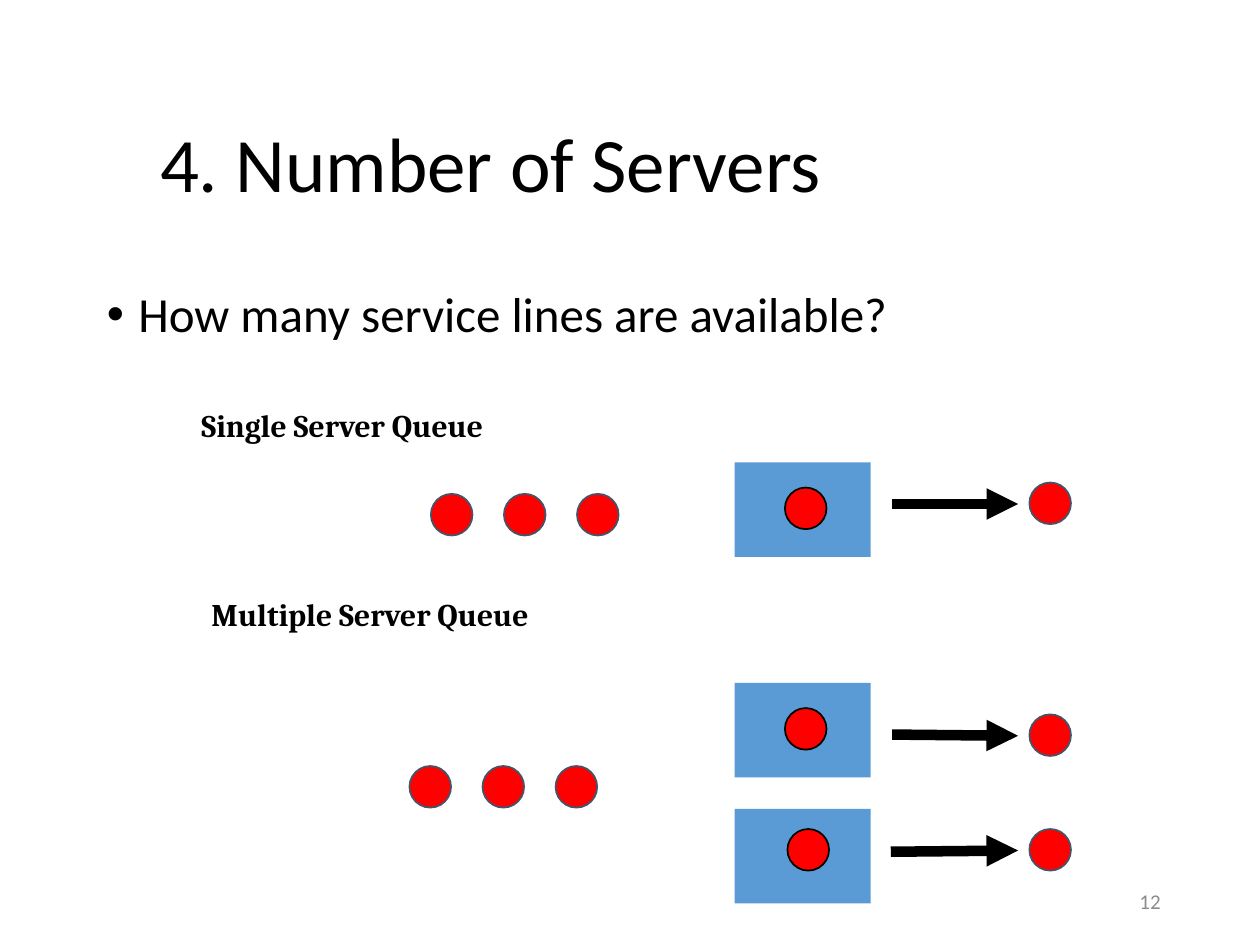
from dataclasses import dataclass

from lxml.etree import SubElement
from pptx import Presentation
from pptx.dml.color import RGBColor as Color
from pptx.enum.shapes import MSO_CONNECTOR as Connector, MSO_SHAPE as Shape
from pptx.enum.text import MSO_ANCHOR as Anchor, PP_ALIGN as Align
from pptx.oxml.ns import qn
from pptx.util import Inches, Pt


@dataclass(frozen=True)
class Theme:
    black: Color = Color(0, 0, 0)
    gray: Color = Color(0x8C, 0x8C, 0x8C)
    server: Color = Color(0x5B, 0x9B, 0xD5)
    customer: Color = Color(0xFF, 0, 0)
    outline: Color = Color(0x44, 0x54, 0x6A)
    body_font: str = "Calibri"
    label_font: str = "Cambria"
    title_size: int = 44
    body_size: int = 28
    label_size: int = 18
    number_size: int = 12


class SlideBuilder:
    def __init__(self, slide, theme):
        self.slide = slide
        self.theme = theme

    def add_text(self, shape, text, size, color=None, font=None, bold=False,
                 align=Align.LEFT, anchor=Anchor.TOP, spacing=None):
        frame = shape.text_frame
        frame.word_wrap = True
        frame.vertical_anchor = anchor
        paragraph = frame.paragraphs[0]
        paragraph.alignment = align
        paragraph.line_spacing = spacing
        run = paragraph.add_run()
        run.text = text
        run.font.size = Pt(size)
        run.font.name = font or self.theme.body_font
        run.font.bold = bold
        run.font.color.rgb = color or self.theme.black
        return paragraph

    def text_box(self, left, top, width, height, text, size, **style):
        box = self.slide.shapes.add_textbox(
            Inches(left), Inches(top), Inches(width), Inches(height))
        return self.add_text(box, text, size, **style)

    def title(self, left, top, width, height, text):
        title = self.slide.shapes.title
        title.left, title.top = Inches(left), Inches(top)
        title.width, title.height = Inches(width), Inches(height)
        self.add_text(title, text, self.theme.title_size,
                      anchor=Anchor.MIDDLE, spacing=0.9)

    def bullet(self, left, top, width, height, text):
        paragraph = self.text_box(left, top, width, height, text,
                                  self.theme.body_size, spacing=0.9)
        properties = paragraph._p.get_or_add_pPr()
        properties.set("marL", str(Inches(0.25)))
        properties.set("indent", str(Inches(-0.25)))
        SubElement(properties, qn("a:buFont")).set("typeface", "Arial")
        SubElement(properties, qn("a:buChar")).set("char", "•")

    def label(self, left, top, width, text):
        self.text_box(left, top, width, 0.5, text, self.theme.label_size,
                      font=self.theme.label_font, bold=True)

    def shape(self, kind, left, top, width, height, fill, line=None):
        shape = self.slide.shapes.add_shape(
            kind, Inches(left), Inches(top), Inches(width), Inches(height))
        shape.shadow.inherit = False
        shape.fill.solid()
        shape.fill.fore_color.rgb = fill
        if line is None:
            shape.line.fill.background()
        else:
            shape.line.color.rgb = line
            shape.line.width = Pt(1)

    def server(self, top):
        self.shape(Shape.RECTANGLE, 5.83, top, 1.08, 0.75, self.theme.server)

    def customer(self, left, top, line=None):
        self.shape(Shape.OVAL, left, top, 0.33, 0.33, self.theme.customer,
                   line or self.theme.outline)

    def queue(self, left, top):
        for place in range(3):
            self.customer(left + place * 0.58, top)

    def arrow(self, start, end):
        arrow = self.slide.shapes.add_connector(
            Connector.STRAIGHT, *map(Inches, start + end))
        arrow.line.color.rgb = self.theme.black
        arrow.line.width = Pt(6)
        SubElement(arrow.line._ln, qn("a:tailEnd")).set("type", "triangle")
        SubElement(arrow._element.spPr, qn("a:effectLst"))

    def service_line(self, server_top, served, departed_top, start, end):
        self.server(server_top)
        self.customer(*served, line=self.theme.black)
        self.arrow(start, end)
        self.customer(8.17, departed_top)


def main():
    presentation = Presentation()
    presentation.slide_width, presentation.slide_height = Inches(10), Inches(7.5)
    slide = presentation.slides.add_slide(presentation.slide_layouts[5])
    theme = Theme()
    builder = SlideBuilder(slide, theme)

    # Heading and question
    builder.title(1.17, 0.92, 7.27, 0.82, "4. Number of Servers")
    builder.bullet(0.75, 2.25, 8.5, 0.83, "How many service lines are available?")

    # Single server
    builder.label(1.5, 3.17, 3.35, "Single Server Queue")
    builder.queue(3.42, 3.92)
    builder.service_line(3.67, (6.23, 3.87), 3.83, (7.08, 4), (8.08, 4))

    # Multiple servers
    builder.label(1.58, 4.67, 3.72, "Multiple Server Queue")
    builder.queue(3.25, 6.08)
    builder.service_line(5.42, (6.23, 5.62), 5.67, (7.08, 5.83), (8.08, 5.84))
    builder.service_line(6.42, (6.25, 6.58), 6.58, (7.07, 6.76), (8.08, 6.75))

    # Slide number
    builder.text_box(7.06, 6.95, 2.25, 0.4, "12", theme.number_size,
                     color=theme.gray, align=Align.RIGHT, anchor=Anchor.MIDDLE)

    presentation.save("out.pptx")


if __name__ == "__main__":
    main()
